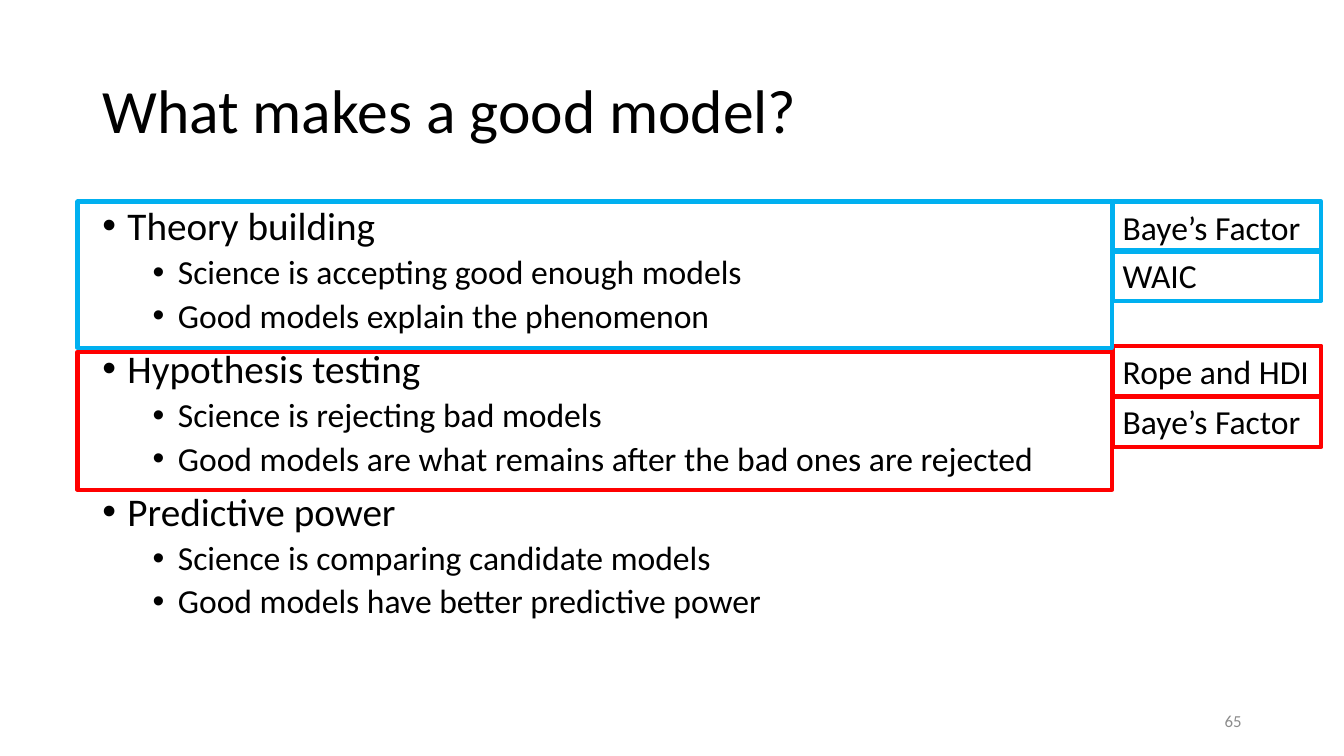
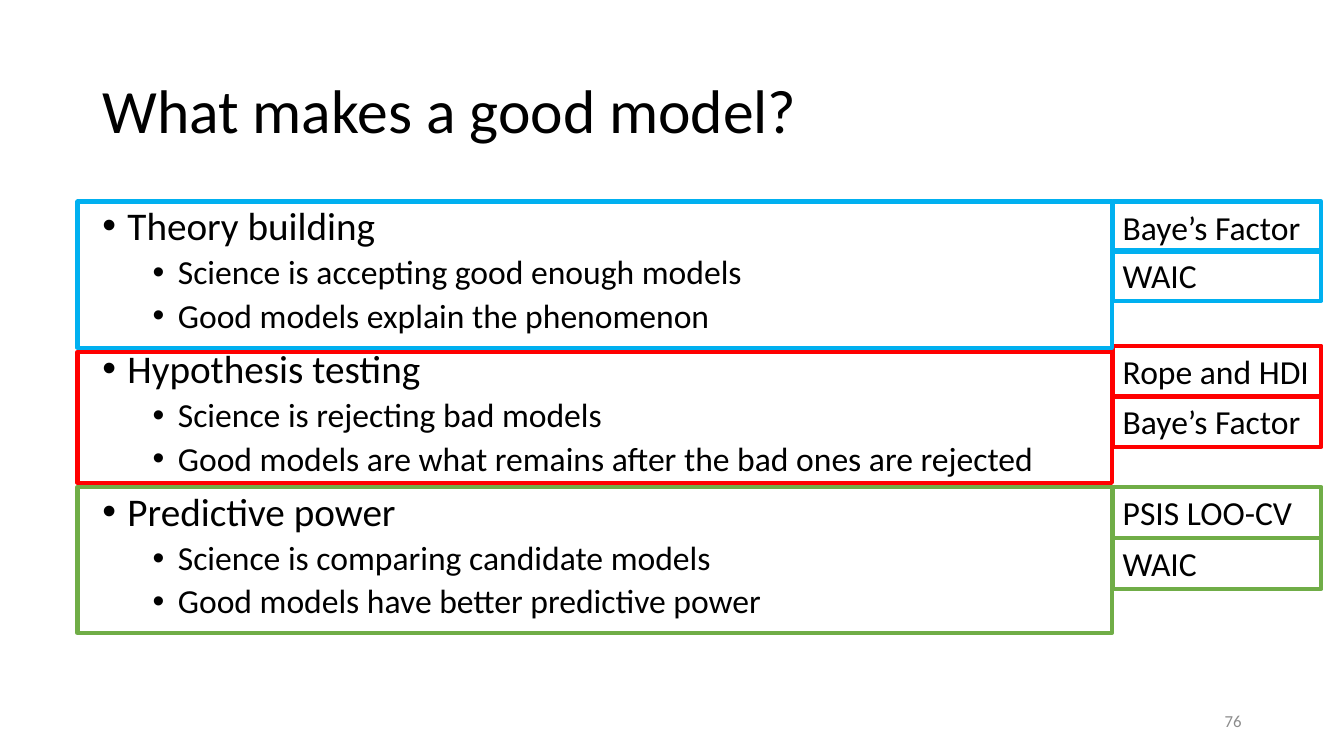
"""Build two slides that match criteria for a good model to comparison methods."""
from pptx import Presentation
from pptx.dml.color import RGBColor
from pptx.enum import shapes, text
from pptx.oxml.ns import qn
from pptx.util import Pt
from lxml import etree

FONT = "Calibri"
BLACK, GREY = "000000", "8C8C8C"
BLUE, RED, GREEN = "00B0F0", "FF0000", "70AD47"

TITLE = "What makes a good model?"
CRITERIA = [
    ("Theory building", [
        "Science is accepting good enough models",
        "Good models explain the phenomenon"]),
    ("Hypothesis testing", [
        "Science is rejecting bad models",
        "Good models are what remains after the bad ones are rejected"]),
    ("Predictive power", [
        "Science is comparing candidate models",
        "Good models have better predictive power"]),
]

THEORY = {"color": BLUE, "top": 144, "height": 104.4,
          "tag_top": 144, "tag_step": 34.6, "tags": ["Baye’s Factor", "WAIC"]}
HYPOTHESIS = {"color": RED, "top": 251.3, "height": 98.6,
              "tag_top": 247, "tag_step": 36, "tags": ["Rope and HDI", "Baye’s Factor"]}
PREDICTION = {"color": GREEN, "top": 347.8, "height": 104.4,
              "tag_top": 347.8, "tag_step": 36.7, "tags": ["PSIS LOO-CV", "WAIC"]}
SLIDES = [
    ("65", [HYPOTHESIS, THEORY]),
    ("76", [{**HYPOTHESIS, "height": 93.6}, THEORY, PREDICTION]),
]

FRAME_LEFT, FRAME_WIDTH = 55.4, 738.8
TAG_LEFT, TAG_WIDTH, TAG_HEIGHT = 794.9, 149, 36.3
LEVELS = [(28, 18, 10), (24, 54, 5)]
HANGING = 18


def rgb(color):
    return RGBColor.from_string(color)


def write(para, words, size, color=BLACK):
    span = para.add_run()
    span.text = words
    span.font.name = FONT
    span.font.size = Pt(size)
    span.font.color.rgb = rgb(color)


def add_box(page, left, top, width, height, anchor=text.MSO_ANCHOR.MIDDLE):
    box = page.shapes.add_textbox(Pt(left), Pt(top), Pt(width), Pt(height))
    box.text_frame.word_wrap = True
    box.text_frame.vertical_anchor = anchor
    return box.text_frame


def add_outline(page, left, top, width, height, color):
    box = page.shapes.add_shape(shapes.MSO_SHAPE.RECTANGLE,
                                Pt(left), Pt(top), Pt(width), Pt(height))
    box.shadow.inherit = False
    box.fill.background()
    box.line.color.rgb = rgb(color)
    box.line.width = Pt(3)
    return box


def add_bullet(para, words, level):
    size, indent, gap = LEVELS[level]
    para.level = level
    properties = para._p.get_or_add_pPr()
    properties.set("marL", str(Pt(indent)))
    properties.set("indent", str(-Pt(HANGING)))
    etree.SubElement(properties, qn("a:buFont")).set("typeface", "Arial")
    etree.SubElement(properties, qn("a:buChar")).set("char", "•")
    para.line_spacing = 0.9
    para.space_before = Pt(gap)
    write(para, words, size)


def add_criteria(page):
    frame = add_box(page, 66, 144, 828, 342.7, text.MSO_ANCHOR.TOP)
    lines = [(words, level) for heading, points in CRITERIA
             for words, level in [(heading, 0)] + [(point, 1) for point in points]]
    for index, (words, level) in enumerate(lines):
        para = frame.add_paragraph() if index else frame.paragraphs[0]
        add_bullet(para, words, level)
    frame.paragraphs[0].space_before = Pt(0)


def add_group(page, group):
    add_outline(page, FRAME_LEFT, group["top"], FRAME_WIDTH, group["height"], group["color"])
    for index, words in enumerate(group["tags"]):
        top = group["tag_top"] + index * group["tag_step"]
        tag = add_outline(page, TAG_LEFT, top, TAG_WIDTH, TAG_HEIGHT, group["color"])
        frame = tag.text_frame
        frame.word_wrap = True
        frame.margin_right = 0
        frame.vertical_anchor = text.MSO_ANCHOR.TOP
        frame.paragraphs[0].alignment = text.PP_ALIGN.LEFT
        write(frame.paragraphs[0], words, 24)


def add_page(deck, number, groups):
    page = deck.slides.add_slide(deck.slide_layouts[6])
    title = add_box(page, 66, 28.8, 828, 104.4).paragraphs[0]
    title.line_spacing = 0.9
    write(title, TITLE, 44)
    add_criteria(page)
    footer = add_box(page, 678, 500.5, 216, 28.8).paragraphs[0]
    footer.alignment = text.PP_ALIGN.RIGHT
    write(footer, number, 12, GREY)
    for group in groups:
        add_group(page, group)


def main():
    deck = Presentation()
    deck.slide_width, deck.slide_height = Pt(960), Pt(540)
    for number, groups in SLIDES:
        add_page(deck, number, groups)
    deck.save("out.pptx")


if __name__ == "__main__":
    main()
